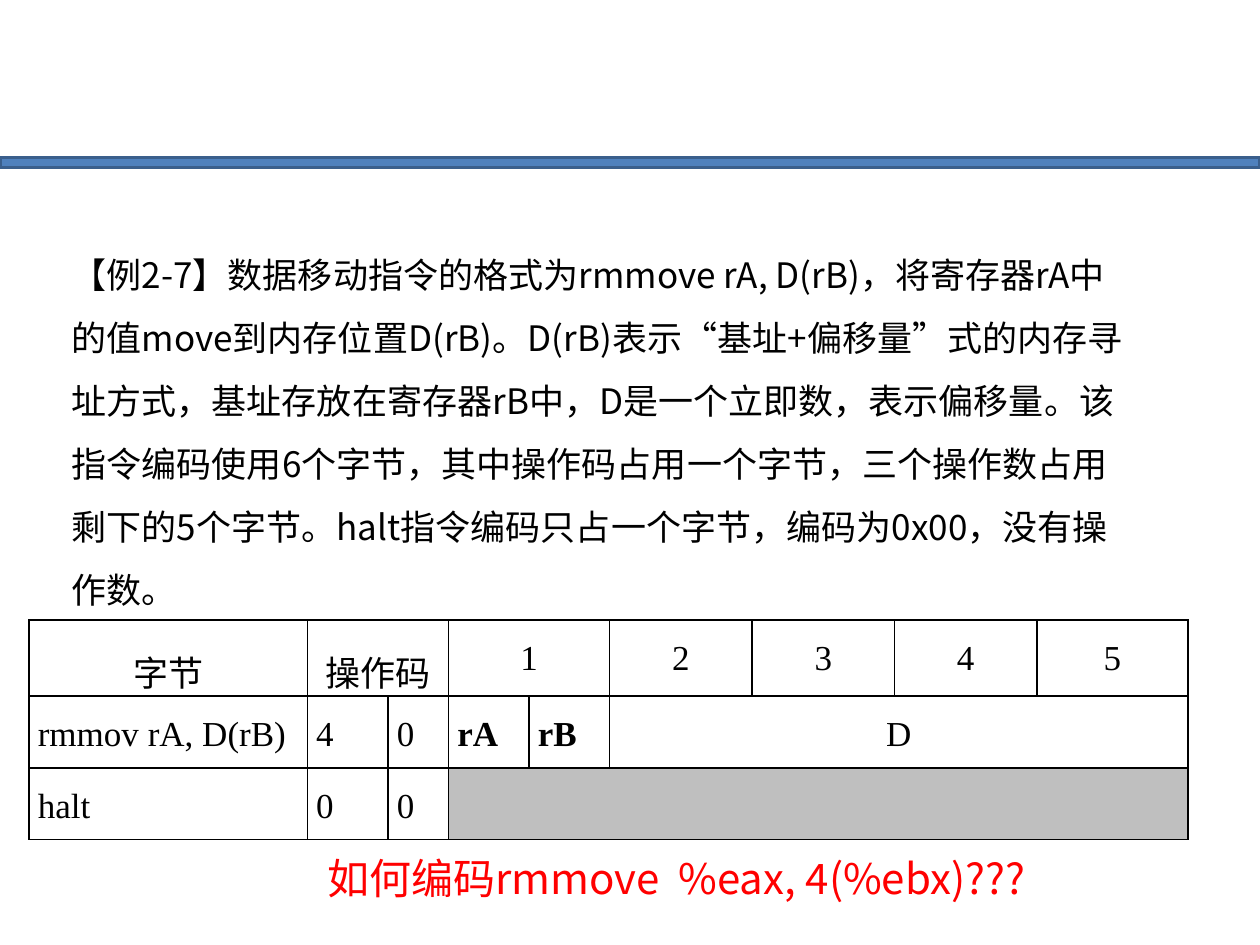
from dataclasses import dataclass
from typing import Optional

from lxml import etree
from pptx import Presentation
from pptx.dml.color import RGBColor
from pptx.enum.shapes import MSO_SHAPE
from pptx.enum.text import MSO_ANCHOR, MSO_AUTO_SIZE, PP_ALIGN
from pptx.oxml.ns import qn
from pptx.util import Inches, Pt

RECTANGLE = MSO_SHAPE.RECTANGLE
TOP = MSO_ANCHOR.TOP
FIT_SHAPE = MSO_AUTO_SIZE.SHAPE_TO_FIT_TEXT
LEFT, CENTER, JUSTIFY = PP_ALIGN.LEFT, PP_ALIGN.CENTER, PP_ALIGN.JUSTIFY

BLACK = RGBColor(0x00, 0x00, 0x00)
WHITE = RGBColor(0xFF, 0xFF, 0xFF)
RED = RGBColor(0xFF, 0x00, 0x00)
GRAY = RGBColor(0xBF, 0xBF, 0xBF)
BAND_BLUE = RGBColor(0x4F, 0x81, 0xBD)
BAND_EDGE = RGBColor(0x3A, 0x5F, 0x8C)

SANS = "Noto Sans CJK SC"
SERIF = "Times New Roman"

COLUMN_WIDTHS = [2.21, 0.64, 0.48, 0.64, 0.64, 1.13, 1.13, 1.13, 1.2]
ROW_HEIGHT = 0.57

EXAMPLE = (
    "【例2-7】数据移动指令的格式为rmmove rA, D(rB)，将寄存器rA中的值move到内存位置D(rB)。"
    "D(rB)表示“基址+偏移量”式的内存寻址方式，基址存放在寄存器rB中，D是一个立即数，表示偏移量。"
    "该指令编码使用6个字节，其中操作码占用一个字节，三个操作数占用剩下的5个字节。"
    "halt指令编码只占一个字节，编码为0x00，没有操作数。"
)
QUESTION = "如何编码rmmove  %eax, 4(%ebx)???"


@dataclass(frozen=True)
class Field:
    text: str
    span: int = 1
    align: PP_ALIGN = LEFT
    bold: bool = False
    fill: Optional[RGBColor] = None


ENCODING_ROWS = [
    [
        Field("字节", align=CENTER),
        Field("操作码", 2, CENTER),
        Field("1", 2, CENTER),
        *[Field(number, align=CENTER) for number in "2345"],
    ],
    [
        Field("rmmov rA, D(rB)", align=JUSTIFY),
        Field("4"),
        Field("0"),
        Field("rA", bold=True),
        Field("rB", bold=True),
        Field("D", 4, CENTER, fill=WHITE),
    ],
    [
        Field("halt", align=JUSTIFY),
        Field("0"),
        Field("0"),
        Field("", 6, fill=GRAY),
    ],
]


def add_run(paragraph, text: str, font_name: str, size: float,
            color: RGBColor, bold: bool = False) -> None:
    run = paragraph.add_run()
    run.text = text
    run.font.name = font_name
    run.font.size = Pt(size)
    run.font.bold = bold
    run.font.color.rgb = color
    east_asian = etree.Element(qn("a:ea"), typeface=SANS)
    run.font._element.find(qn("a:latin")).addnext(east_asian)


def add_band(slide) -> None:
    band = slide.shapes.add_shape(
        RECTANGLE, 0, Inches(1.25), Inches(10), Inches(0.08))
    band.shadow.inherit = False
    band.fill.solid()
    band.fill.fore_color.rgb = BAND_BLUE
    band.line.color.rgb = BAND_EDGE
    band.line.width = Pt(2)


def set_borders(cell) -> None:
    """Draw a thin black line on all four sides of the cell."""
    properties = cell._tc.get_or_add_tcPr()
    for position, side in enumerate(("a:lnL", "a:lnR", "a:lnT", "a:lnB")):
        line = etree.Element(qn(side), w=str(Pt(1)))
        fill = etree.SubElement(line, qn("a:solidFill"))
        etree.SubElement(fill, qn("a:srgbClr"), val=str(BLACK))
        properties.insert(position, line)


def fill_field(cell, field: Field) -> None:
    cell.margin_left = cell.margin_right = Inches(0.07)
    cell.margin_top = cell.margin_bottom = 0
    if field.fill is not None:
        cell.fill.solid()
        cell.fill.fore_color.rgb = field.fill
    if field.text:
        paragraph = cell.text_frame.paragraphs[0]
        paragraph.alignment = field.align
        paragraph.line_spacing = 1.5
        add_run(paragraph, field.text, SERIF, 20, BLACK, field.bold)


def add_encoding_table(slide) -> None:
    frame = slide.shapes.add_table(
        len(ENCODING_ROWS), len(COLUMN_WIDTHS), Inches(0.23), Inches(4.92),
        Inches(sum(COLUMN_WIDTHS)), Inches(ROW_HEIGHT * len(ENCODING_ROWS)))
    table = frame.table
    table.first_row = table.horz_banding = False
    for column, width in zip(table.columns, COLUMN_WIDTHS):
        column.width = Inches(width)
    for row in table.rows:
        row.height = Inches(ROW_HEIGHT)
    for cell in table.iter_cells():
        cell.fill.background()
        set_borders(cell)
    for row_index, fields in enumerate(ENCODING_ROWS):
        column_index = 0
        for field in fields:
            cell = table.cell(row_index, column_index)
            column_index += field.span
            if field.span > 1:
                cell.merge(table.cell(row_index, column_index - 1))
            fill_field(cell, field)


def add_text(slide, left: float, top: float, width: float, height: float,
             text: str, size: float, color: RGBColor, wrap: bool,
             line_spacing: float = 1.0) -> None:
    box = slide.shapes.add_textbox(
        Inches(left), Inches(top), Inches(width), Inches(height))
    frame = box.text_frame
    frame.word_wrap = wrap
    frame.auto_size = FIT_SHAPE
    frame.vertical_anchor = TOP
    paragraph = frame.paragraphs[0]
    paragraph.line_spacing = line_spacing
    add_run(paragraph, text, SANS, size, color)


def main() -> None:
    presentation = Presentation()
    presentation.slide_width = Inches(10)
    presentation.slide_height = Inches(7.5)
    slide = presentation.slides.add_slide(presentation.slide_layouts[6])
    add_band(slide)
    add_encoding_table(slide)
    add_text(slide, 0.47, 1.8, 8.67, 3.43, EXAMPLE, 20, BLACK,
             wrap=True, line_spacing=1.5)
    add_text(slide, 2.5, 6.72, 5.99, 0.5, QUESTION, 24, RED, wrap=False)
    presentation.save("out.pptx")


if __name__ == "__main__":
    main()
